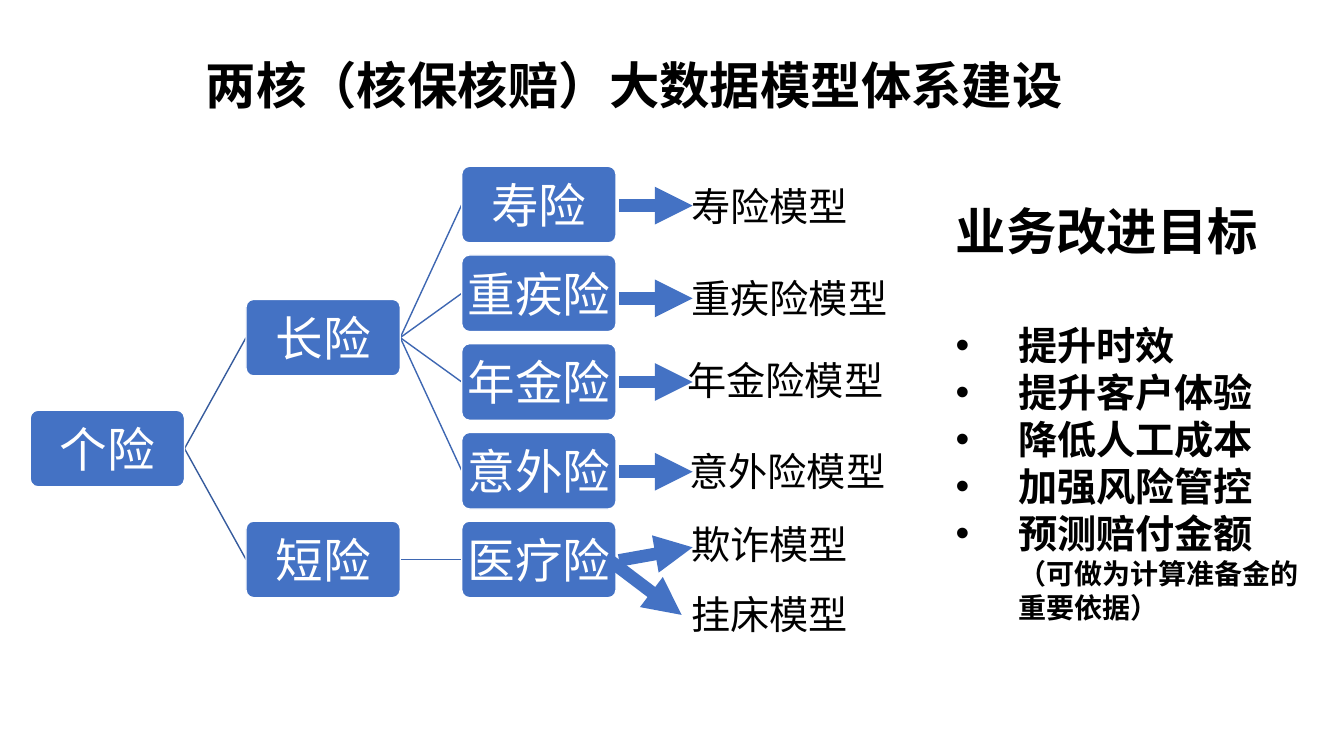
"""Build the slide on the model system for underwriting and claims."""
import pptx
import pptx.dml.color
import pptx.enum.shapes
import pptx.enum.text
import pptx.oxml.ns
import pptx.util
from lxml import etree

Inches = pptx.util.Inches
Pt = pptx.util.Pt
RGBColor = pptx.dml.color.RGBColor
Align = pptx.enum.text.PP_ALIGN
Anchor = pptx.enum.text.MSO_ANCHOR
qn = pptx.oxml.ns.qn

BLUE = RGBColor(0x44, 0x72, 0xC4)
DARK_BLUE = RGBColor(0x36, 0x5B, 0x9D)
MID_BLUE = RGBColor(0x3E, 0x67, 0xB2)
WHITE = RGBColor(0xFF, 0xFF, 0xFF)
BLACK = RGBColor(0x00, 0x00, 0x00)

FONT = "Noto Sans CJK SC"
LINE_HEIGHT = 1.2
NODE_WIDTH, NODE_HEIGHT = 1.53, 0.76
TREE_LEFT, COLUMN_STEP = 0.3, 2.14
TREE_TOP, ROW_STEP = 1.65, 0.88
GOAL_INDENT = 0.62

NODES = {
    "个险": (0, 2.75),
    "长险": (1, 1.5),
    "短险": (1, 4),
    "寿险": (2, 0),
    "重疾险": (2, 1),
    "年金险": (2, 2),
    "意外险": (2, 3),
    "医疗险": (2, 4),
}
BRANCHES = {
    "个险": ("长险", "短险"),
    "长险": ("寿险", "重疾险", "年金险", "意外险"),
    "短险": ("医疗险",),
}
MODELS = [
    ("寿险模型", (6.76, 1.76, 2.41, 0.57), (6.14, 2.04), (6.87, 2.04)),
    ("重疾险模型", (6.76, 2.67, 2.93, 0.57), (6.14, 2.96), (6.87, 2.96)),
    ("年金险模型", (6.72, 3.49, 3.07, 0.57), (6.14, 3.79), (6.87, 3.79)),
    ("意外险模型", (6.74, 4.39, 3.6, 0.57), (6.14, 4.68), (6.87, 4.68)),
    ("欺诈模型", (6.76, 5.11, 2.41, 0.57), (6.14, 5.56), (6.87, 5.43)),
    ("挂床模型", (6.76, 5.81, 2.41, 0.57), (6.06, 5.57), (6.76, 6.1)),
]
GOALS = ["提升时效", "提升客户体验", "降低人工成本", "加强风险管控", "预测赔付金额"]


def apply(target, values):
    """Set every attribute named in values on target."""
    for name, value in values.items():
        setattr(target, name, value)


def node_position(name):
    """Return the left edge and vertical middle of a tree node."""
    column, row = NODES[name]
    left = TREE_LEFT + column * COLUMN_STEP
    return left, TREE_TOP + row * ROW_STEP + NODE_HEIGHT / 2


class SlideBuilder:
    """Hold the text style and the slide being built."""

    def __init__(self, slide):
        """Keep the slide and the shared frame format."""
        self.slide = slide
        self.frame_format = {
            "word_wrap": True,
            "auto_size": pptx.enum.text.MSO_AUTO_SIZE.NONE,
            "vertical_anchor": Anchor.TOP,
        }

    def add_text(self, paragraph, text, size, color=BLACK, bold=False, align=Align.LEFT, after=0):
        """Add one formatted run to a paragraph."""
        apply(paragraph, {
            "alignment": align,
            "line_spacing": Pt(round(size * LINE_HEIGHT, 1)),
            "space_before": Pt(0),
            "space_after": Pt(after),
        })
        run = paragraph.add_run()
        run.text = text
        apply(run.font, {"name": FONT, "size": Pt(size), "bold": bold})
        run.font.color.rgb = color
        east_asian = etree.SubElement(run._r.get_or_add_rPr(), qn("a:ea"))
        east_asian.set("typeface", FONT)

    def title(self, text, left, top, width, height):
        """Place and format the title placeholder."""
        shape = self.slide.shapes.title
        apply(shape, {"left": Inches(left), "top": Inches(top),
                      "width": Inches(width), "height": Inches(height)})
        apply(shape.text_frame, self.frame_format)
        self.add_text(shape.text_frame.paragraphs[0], text, 36, bold=True)

    def text_box(self, left, top, width, height):
        """Add an empty wrapping text box and return its frame."""
        shape = self.slide.shapes.add_textbox(
            Inches(left), Inches(top), Inches(width), Inches(height))
        apply(shape.text_frame, self.frame_format)
        return shape.text_frame

    def label(self, text, box):
        """Add a model name."""
        self.add_text(self.text_box(*box).paragraphs[0], text, 28)

    def node(self, name):
        """Add a rounded tree node with its name."""
        left, middle = node_position(name)
        shape = self.slide.shapes.add_shape(
            pptx.enum.shapes.MSO_SHAPE.ROUNDED_RECTANGLE,
            Inches(left), Inches(middle - NODE_HEIGHT / 2),
            Inches(NODE_WIDTH), Inches(NODE_HEIGHT))
        shape.shadow.inherit = False
        shape.adjustments[0] = 0.1
        shape.fill.solid()
        shape.fill.fore_color.rgb = BLUE
        shape.line.color.rgb = WHITE
        shape.line.width = Pt(1)
        margins = dict.fromkeys(
            ("margin_left", "margin_right", "margin_top", "margin_bottom"), Inches(0.02))
        apply(shape.text_frame, {**self.frame_format, **margins, "vertical_anchor": Anchor.MIDDLE})
        self.add_text(shape.text_frame.paragraphs[0], name, 34, WHITE, align=Align.CENTER)

    def line(self, start, end, color, width, arrow=False):
        """Add a straight line, with an arrowhead if asked."""
        connector = self.slide.shapes.add_connector(
            pptx.enum.shapes.MSO_CONNECTOR.STRAIGHT,
            *(Inches(value) for value in (*start, *end)))
        connector.line.color.rgb = color
        connector.line.width = Pt(width)
        properties = connector._element.spPr
        if arrow:
            tail = etree.SubElement(properties.find(qn("a:ln")), qn("a:tailEnd"))
            tail.set("type", "triangle")
        etree.SubElement(properties, qn("a:effectLst"))

    def goal(self, frame, text, size, bullet=True):
        """Add an indented goal, with a bullet if asked."""
        paragraph = frame.add_paragraph()
        self.add_text(paragraph, text, size, bold=True)
        properties = paragraph._p.get_or_add_pPr()
        indent = Inches(GOAL_INDENT)
        properties.set("marL", str(indent))
        properties.set("indent", str(-indent if bullet else 0))
        if bullet:
            etree.SubElement(properties, qn("a:buFont")).set("typeface", "Arial")
            etree.SubElement(properties, qn("a:buChar")).set("char", "•")


def main():
    """Build and save the presentation."""
    presentation = pptx.Presentation()
    presentation.slide_width = Inches(13.33)
    presentation.slide_height = Inches(7.5)
    builder = SlideBuilder(presentation.slides.add_slide(presentation.slide_layouts[5]))

    builder.title("两核（核保核赔）大数据模型体系建设", 1.94, 0.49, 9.1, 0.71)
    for parent, children in BRANCHES.items():
        left, middle = node_position(parent)
        color = DARK_BLUE if parent == "个险" else MID_BLUE
        for child in children:
            builder.line((left + NODE_WIDTH, middle), node_position(child), color, 1)
    for name in NODES:
        builder.node(name)
    for text, box, start, end in MODELS:
        builder.label(text, box)
        builder.line(start, end, BLUE, 9, arrow=True)

    frame = builder.text_box(9.38, 1.94, 3.74, 4.88)
    builder.add_text(frame.paragraphs[0], "业务改进目标", 36, bold=True, after=43.2)
    for text in GOALS:
        builder.goal(frame, text, 28)
    builder.goal(frame, "（可做为计算准备金的重要依据）", 20, bullet=False)
    presentation.save("out.pptx")


if __name__ == "__main__":
    main()
